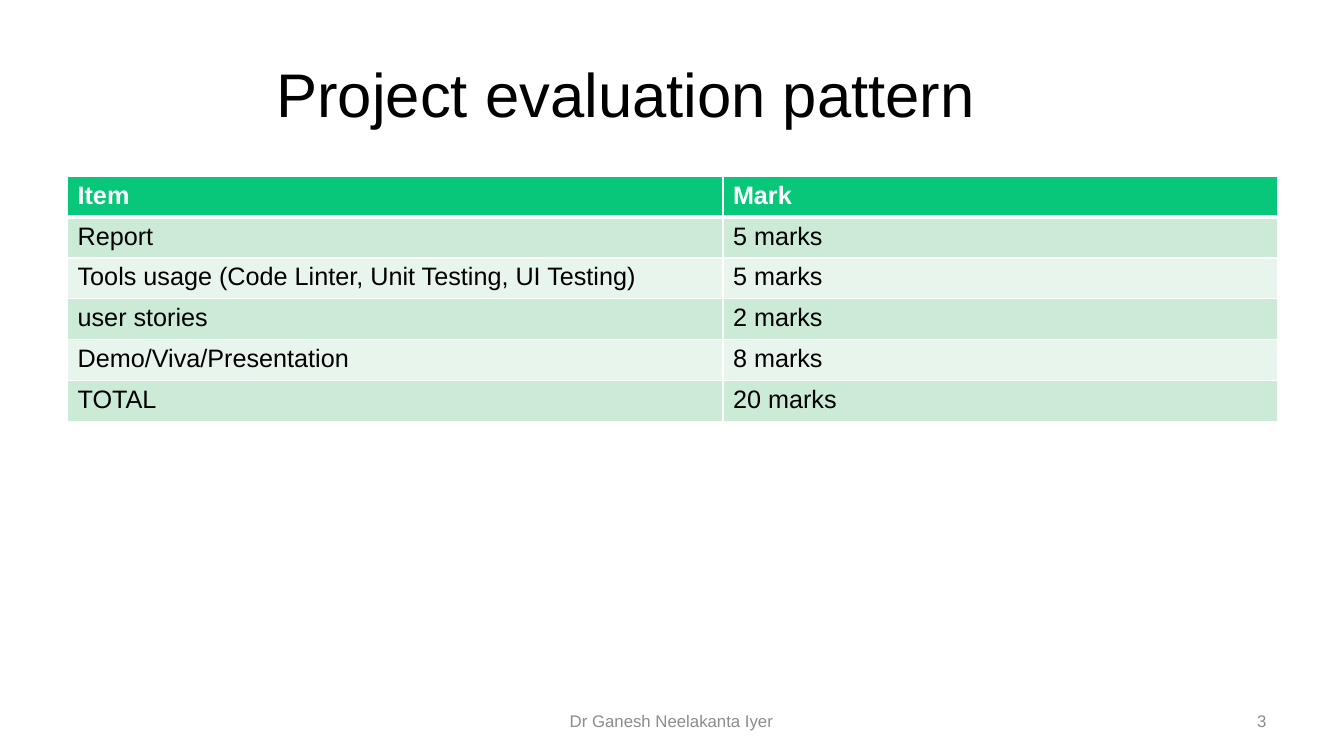
from dataclasses import dataclass

from lxml import etree
from pptx import Presentation
from pptx.dml.color import RGBColor
from pptx.enum.text import MSO_ANCHOR, PP_ALIGN
from pptx.oxml.ns import qn
from pptx.util import Inches, Pt

LEFT, CENTER, RIGHT = PP_ALIGN.LEFT, PP_ALIGN.CENTER, PP_ALIGN.RIGHT
MIDDLE = MSO_ANCHOR.MIDDLE
FONT = "Arial"
COLORS = {
    "black": "000000",
    "white": "FFFFFF",
    "grey": "8C8C8C",
    "header": "09C77A",
    "dark_band": "CCEBD7",
    "light_band": "E7F5EC",
}


@dataclass
class Label:
    text: str
    left: float
    top: float
    width: float
    height: float
    size: int
    color: str
    align: PP_ALIGN


@dataclass
class MarkRow:
    item: str
    mark: str


LABELS = [
    Label("Project evaluation pattern", 0.67, 0.3, 11.08, 1.25, 44, "black", CENTER),
    Label("Dr Ganesh Neelakanta Iyer", 4.55, 6.95, 4.22, 0.4, 12, "grey", CENTER),
    Label("3", 9.55, 6.95, 3.11, 0.4, 12, "grey", RIGHT),
]
ROWS = [
    MarkRow("Item", "Mark"),
    MarkRow("Report", "5 marks"),
    MarkRow("Tools usage (Code Linter, Unit Testing, UI Testing)", "5 marks"),
    MarkRow("user stories", "2 marks"),
    MarkRow("Demo/Viva/Presentation", "8 marks"),
    MarkRow("TOTAL", "20 marks"),
]
COLUMN_WIDTHS = [6.5, 5.5]
TABLE_HEIGHT = 2.43


def rgb(name: str) -> RGBColor:
    return RGBColor.from_string(COLORS[name])


def write(tf, text: str, size: int, color: str, align=LEFT, bold=False) -> None:
    p = tf.paragraphs[0]
    p.alignment = align
    r = p.add_run()
    r.text = text
    r.font.name = FONT
    r.font.size = Pt(size)
    r.font.bold = bold
    r.font.color.rgb = rgb(color)


def add_label(s, label: Label) -> None:
    sp = s.shapes.add_textbox(Inches(label.left), Inches(label.top),
                              Inches(label.width), Inches(label.height))
    tf = sp.text_frame
    tf.word_wrap = True
    tf.vertical_anchor = MIDDLE
    write(tf, label.text, label.size, label.color, label.align)


def set_borders(cell, top: int, bottom: int) -> None:
    tc_pr = cell._tc.get_or_add_tcPr()
    for side, width in {"L": 1, "R": 1, "T": top, "B": bottom}.items():
        ln = etree.SubElement(tc_pr, qn(f"a:ln{side}"), w=str(Pt(width)))
        fill = etree.SubElement(ln, qn("a:solidFill"))
        etree.SubElement(fill, qn("a:srgbClr"), val=COLORS["white"])


def add_marks_table(s, rows: list[MarkRow]) -> None:
    table = s.shapes.add_table(
        len(rows), len(COLUMN_WIDTHS), Inches(0.67), Inches(1.75),
        Inches(sum(COLUMN_WIDTHS)), Inches(TABLE_HEIGHT)).table
    for column, width in zip(table.columns, COLUMN_WIDTHS):
        column.width = Inches(width)
    for i, row in enumerate(rows):
        header = i == 0
        band = "header" if header else "dark_band" if i % 2 else "light_band"
        for j, text in enumerate((row.item, row.mark)):
            cell = table.cell(i, j)
            set_borders(cell, 3 if i == 1 else 1, 3 if header else 1)
            cell.fill.solid()
            cell.fill.fore_color.rgb = rgb(band)
            write(cell.text_frame, text, 18, "white" if header else "black", bold=header)


def main() -> None:
    prs = Presentation()
    prs.slide_width, prs.slide_height = Inches(13.33), Inches(7.5)
    s = prs.slides.add_slide(prs.slide_layouts[6])
    for label in LABELS:
        add_label(s, label)
    add_marks_table(s, ROWS)
    prs.save("out.pptx")


if __name__ == "__main__":
    main()
